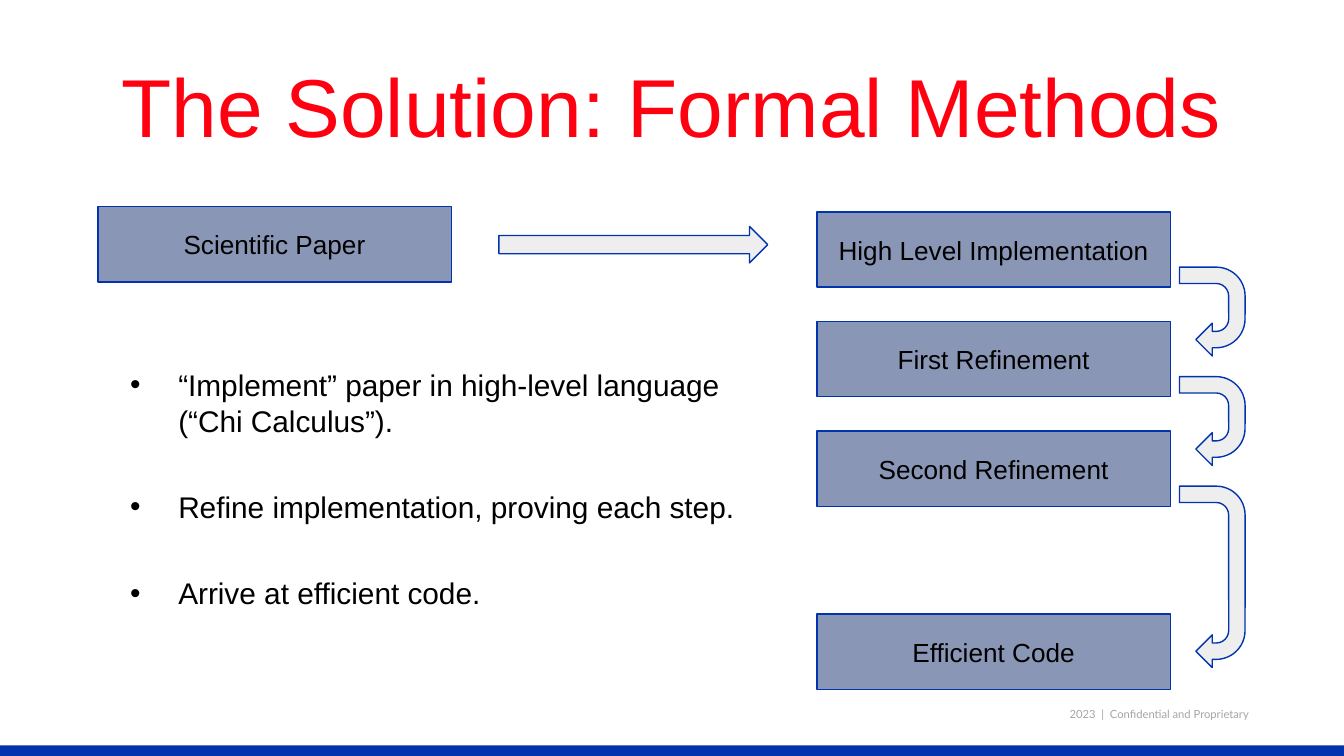
from typing import NamedTuple

from lxml import etree
from pptx import Presentation
from pptx.dml.color import RGBColor
from pptx.enum.shapes import MSO_SHAPE
from pptx.enum.text import MSO_ANCHOR, PP_ALIGN
from pptx.oxml.ns import qn
from pptx.util import Cm, Pt

RECTANGLE = MSO_SHAPE.RECTANGLE
RIGHT_ARROW = MSO_SHAPE.RIGHT_ARROW
U_TURN_ARROW = MSO_SHAPE.U_TURN_ARROW
MIDDLE = MSO_ANCHOR.MIDDLE
LEFT, CENTER, RIGHT = PP_ALIGN.LEFT, PP_ALIGN.CENTER, PP_ALIGN.RIGHT

COLORS = {
    "blue": "0033AD",
    "stage": "8A96B5",
    "arrow": "EEEEEE",
    "title": "FF0011",
    "text": "000000",
    "footer": "A5A5A5",
}


class Area(NamedTuple):
    """Left, top, width and height in centimetres."""
    left: float
    top: float
    width: float
    height: float


class Style(NamedTuple):
    size: float
    color: str = "text"
    font: str = "Arial"
    align: PP_ALIGN = CENTER


class Stage(NamedTuple):
    label: str
    left: float
    top: float


STAGE_WIDTH, STAGE_HEIGHT = 6.68, 1.42
CHAIN_LEFT, CHAIN_TOP, CHAIN_STEP = 15.44, 4.01, 2.07
TURN_CENTER, TURN_DEPTH, TURN_DROP = 22.91, 1.24, 1.04
TURN_LENGTHS = (1.68, 1.68, 3.43)

STAGE_STYLE = Style(14)
TITLE_STYLE = Style(44, "title")
STEP_STYLE = Style(16, align=LEFT)
FOOTER_STYLE = Style(6, "footer", "Lato", RIGHT)

PAPER = Stage("Scientific Paper", 1.85, 3.91)
REFINEMENTS = [
    Stage(label, CHAIN_LEFT, CHAIN_TOP + i * CHAIN_STEP)
    for i, label in enumerate(
        ("High Level Implementation", "First Refinement", "Second Refinement"))
]
RESULT = Stage("Efficient Code", CHAIN_LEFT, 11.61)

STEPS = (
    "“Implement” paper in high-level language (“Chi Calculus”).",
    "Refine implementation, proving each step.",
    "Arrive at efficient code.",
)


def rgb(color: str) -> RGBColor:
    return RGBColor.from_string(COLORS[color])


def lengths(area: Area) -> list[Cm]:
    return [Cm(value) for value in area]


def set_frame(frame, inset: float) -> None:
    frame.word_wrap = True
    frame.vertical_anchor = MIDDLE
    frame.margin_left = frame.margin_right = Cm(inset)
    frame.margin_top = frame.margin_bottom = Cm(inset)


def write(paragraph, text: str, style: Style) -> None:
    paragraph.alignment = style.align
    run = paragraph.add_run()
    run.text = text
    run.font.size = Pt(style.size)
    run.font.name = style.font
    run.font.color.rgb = rgb(style.color)


def add_text(slide, area: Area, text: str, style: Style, inset: float):
    frame = slide.shapes.add_textbox(*lengths(area)).text_frame
    set_frame(frame, inset)
    write(frame.paragraphs[0], text, style)
    return frame


def add_figure(slide, preset, area: Area, fill: str, outlined: bool = True):
    figure = slide.shapes.add_shape(preset, *lengths(area))
    figure.shadow.inherit = False
    figure.fill.solid()
    figure.fill.fore_color.rgb = rgb(fill)
    if outlined:
        figure.line.color.rgb = rgb("blue")
        figure.line.width = Pt(0.75)
    else:
        figure.line.fill.background()
    return figure


def add_stage(slide, stage: Stage) -> None:
    area = Area(stage.left, stage.top, STAGE_WIDTH, STAGE_HEIGHT)
    frame = add_figure(slide, RECTANGLE, area, "stage").text_frame
    set_frame(frame, 0.25)
    write(frame.paragraphs[0], stage.label, STAGE_STYLE)


def add_turn(slide, top: float, length: float) -> None:
    """Draw a U-turn running down from top; it is laid out flat, then turned."""
    area = Area(TURN_CENTER - length / 2, top + (length - TURN_DEPTH) / 2,
                length, TURN_DEPTH)
    turn = add_figure(slide, U_TURN_ARROW, area, "arrow")
    turn.rotation = 90
    for i, value in enumerate((0.25, 0.25, 0.25, 0.44, 0.75)):
        turn.adjustments[i] = value


def add_bullet(paragraph) -> None:
    properties = paragraph._p.get_or_add_pPr()
    properties.set("marL", str(Cm(1.27)))
    properties.set("indent", str(-Cm(0.91)))
    bullet_color = etree.SubElement(properties, qn("a:buClr"))
    etree.SubElement(bullet_color, qn("a:srgbClr"), val=COLORS["text"])
    etree.SubElement(properties, qn("a:buFont"), typeface="Arial")
    etree.SubElement(properties, qn("a:buChar"), char="•")


def add_steps(slide, area: Area) -> None:
    frame = slide.shapes.add_textbox(*lengths(area)).text_frame
    set_frame(frame, 0.25)
    for i, step in enumerate(STEPS):
        paragraph = frame.add_paragraph() if i else frame.paragraphs[0]
        add_bullet(paragraph)
        if i:
            paragraph.space_before = Pt(27)
        write(paragraph, step, STEP_STYLE)


def main() -> None:
    deck = Presentation()
    deck.slide_width, deck.slide_height = Cm(25.4), Cm(14.29)
    slide = deck.slides.add_slide(deck.slide_layouts[6])

    # Footer
    footer = add_text(slide, Area(18.95, 13.26, 4.65, 0.38),
                      "2023  |  Confidential and Proprietary", FOOTER_STYLE, 0)
    footer.paragraphs[0].line_spacing = 1.4
    add_figure(slide, RECTANGLE, Area(0, 14.09, 25.4, 0.2), "blue", outlined=False)

    # Title
    add_text(slide, Area(1.85, 0.38, 21.7, 3.18),
             "The Solution: Formal Methods", TITLE_STYLE, 0.1)

    # Stages from paper to code
    for stage in (PAPER, *REFINEMENTS, RESULT):
        add_stage(slide, stage)

    # Arrows between stages
    add_figure(slide, RIGHT_ARROW, Area(9.43, 4.28, 5.08, 0.69), "arrow")
    for stage, length in zip(REFINEMENTS, TURN_LENGTHS):
        add_turn(slide, stage.top + TURN_DROP, length)

    # Steps of the method
    add_steps(slide, Area(1.85, 6.38, 12.65, 5.72))

    deck.save("out.pptx")


if __name__ == "__main__":
    main()
